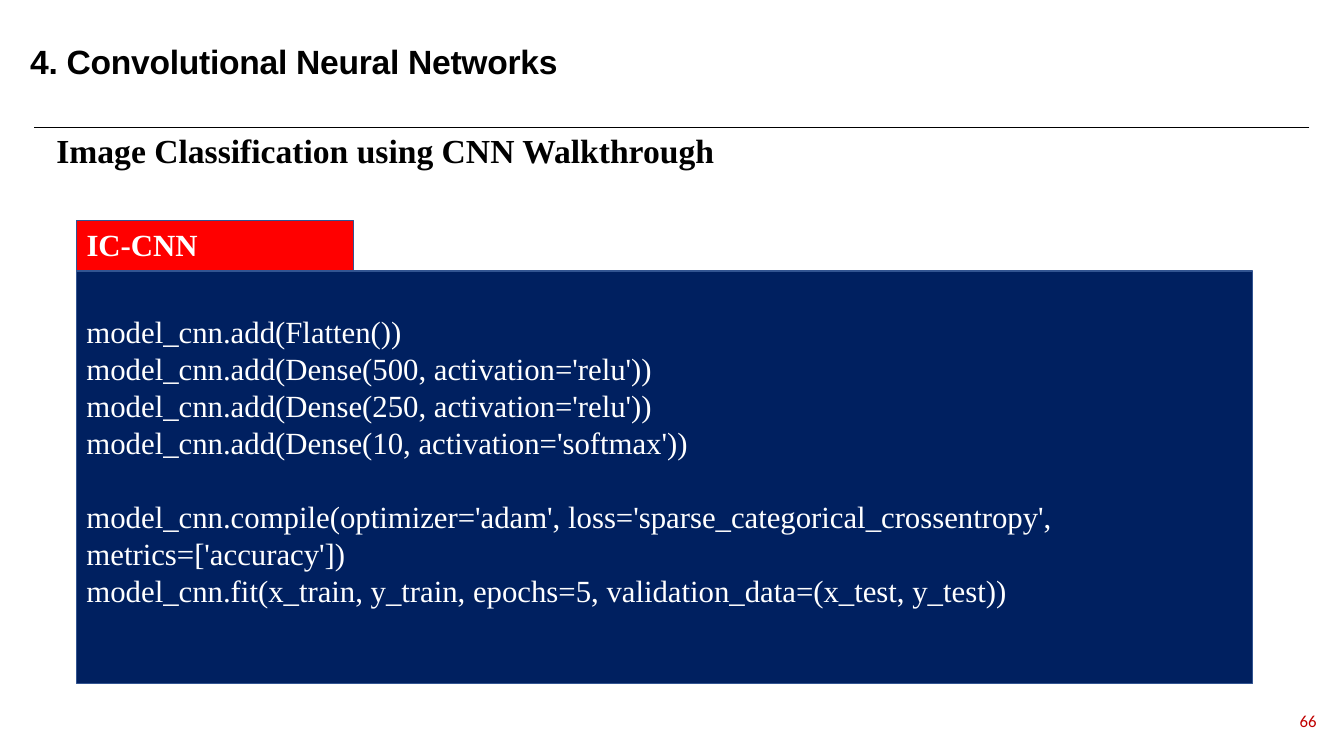
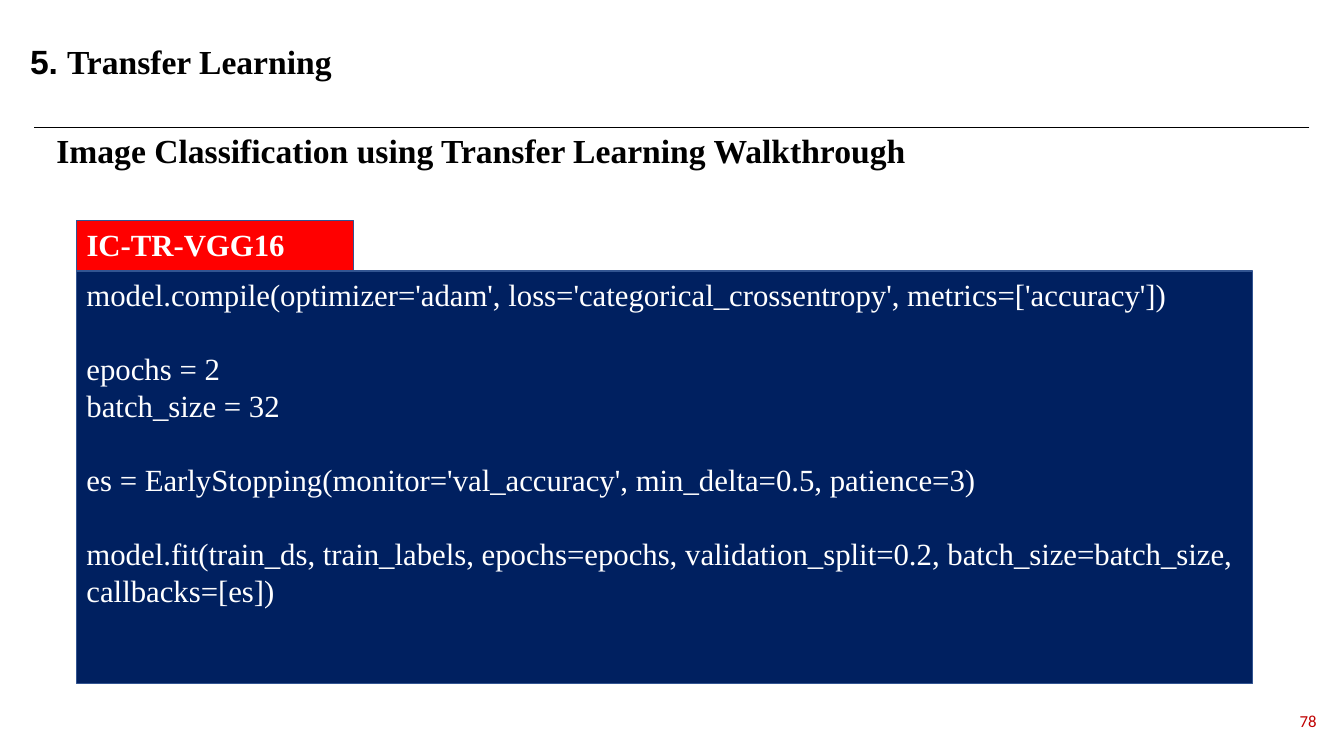
from dataclasses import dataclass

import pptx
import pptx.dml.color
import pptx.enum.shapes
import pptx.enum.text
import pptx.oxml.ns
import pptx.util
from lxml import etree

Pt = pptx.util.Pt
RGB = pptx.dml.color.RGBColor
ALIGN = pptx.enum.text.PP_ALIGN
ANCHOR = pptx.enum.text.MSO_ANCHOR


@dataclass(frozen=True)
class Theme:
    black: RGB = RGB(0x00, 0x00, 0x00)
    white: RGB = RGB(0xFF, 0xFF, 0xFF)
    navy: RGB = RGB(0x00, 0x20, 0x60)
    red: RGB = RGB(0xFF, 0x00, 0x00)
    outline: RGB = RGB(0x32, 0x54, 0x91)
    number: RGB = RGB(0xC0, 0x00, 0x00)
    sans: str = "Arial"
    serif: str = "Times New Roman"
    footer: str = "Calibri"
    heading_size: float = 24
    code_size: float = 22
    number_size: float = 12
    code_gap: float = 26.4
    inset_x: float = 7.2
    inset_y: float = 3.6


@dataclass(frozen=True)
class Box:
    left: float
    top: float
    width: float
    height: float

    def lengths(self) -> tuple:
        return Pt(self.left), Pt(self.top), Pt(self.width), Pt(self.height)


@dataclass(frozen=True)
class TitlePart:
    text: str
    font: str
    spacing: float = 0


@dataclass(frozen=True)
class CodeSlide:
    number: int
    title: tuple[TitlePart, ...]
    subtitle: str
    tag: str
    code: tuple[tuple[str, ...], ...]
    top_gap: float = 0


THEME = Theme()
TITLE = Box(13.7, 25.9, 600, 36)
SUBTITLE = Box(5, 89.3, 931.7, 36)
NUMBER = Box(906.5, 500.4, 41, 28.8)
TAG = Box(54.7, 157.7, 198, 36)
PANEL = Box(TAG.left, TAG.top + TAG.height, 840.2, 294.5)
RULE_LEFT, RULE_RIGHT, RULE_Y = 24.5, 935.3, 90.7

SLIDES = (
    CodeSlide(
        66,
        (TitlePart("4. Convolutional Neural Networks", THEME.sans, -0.2),),
        "Image Classification using CNN Walkthrough",
        "IC-CNN",
        (
            (
                "model_cnn.add(Flatten())",
                "model_cnn.add(Dense(500, activation='relu'))",
                "model_cnn.add(Dense(250, activation='relu'))",
                "model_cnn.add(Dense(10, activation='softmax'))",
            ),
            (
                "model_cnn.compile(optimizer='adam', loss='sparse_categorical_crossentropy', metrics=['accuracy'])",
                "model_cnn.fit(x_train, y_train, epochs=5, validation_data=(x_test, y_test))",
            ),
        ),
        top_gap=THEME.code_gap,
    ),
    CodeSlide(
        78,
        (TitlePart("5. ", THEME.sans, -0.2), TitlePart("Transfer Learning", THEME.serif)),
        "Image Classification using Transfer Learning Walkthrough",
        "IC-TR-VGG16",
        (
            ("model.compile(optimizer='adam', loss='categorical_crossentropy', metrics=['accuracy'])",),
            ("epochs = 2", "batch_size = 32"),
            ("es = EarlyStopping(monitor='val_accuracy', min_delta=0.5, patience=3)",),
            (
                "model.fit(train_ds, train_labels, epochs=epochs, validation_split=0.2, "
                "batch_size=batch_size, callbacks=[es])",
            ),
        ),
    ),
)


def set_font(font, name: str | None, size: float, color: RGB, bold: bool = False) -> None:
    if name:
        font.name = name
    font.size = Pt(size)
    font.bold = bold
    font.color.rgb = color


def set_frame(tf, indent: float = 0, top_gap: float = 0, anchor=ANCHOR.TOP) -> None:
    """Wrap the text and set its insets, with extra room at the left and top."""
    tf.word_wrap = True
    tf.vertical_anchor = anchor
    tf.margin_left, tf.margin_right = Pt(THEME.inset_x + indent), Pt(THEME.inset_x)
    tf.margin_top, tf.margin_bottom = Pt(THEME.inset_y + top_gap), Pt(THEME.inset_y)


def add_title(s, parts: tuple[TitlePart, ...]) -> None:
    tf = s.shapes.add_textbox(*TITLE.lengths()).text_frame
    set_frame(tf, indent=0.7)
    p = tf.paragraphs[0]
    set_font(p.font, None, THEME.heading_size, THEME.black, bold=True)
    for part in parts:
        r = p.add_run()
        r.text = part.text
        r.font.name = part.font
        if part.spacing:
            r.font._element.set("spc", str(round(part.spacing * 100)))


def add_subtitle(s, text: str) -> None:
    tf = s.shapes.add_textbox(*SUBTITLE.lengths()).text_frame
    set_frame(tf, indent=28.1)
    p = tf.paragraphs[0]
    p.text = text
    set_font(p.font, THEME.serif, THEME.heading_size, THEME.black, bold=True)


def add_number(s, number: int) -> None:
    tf = s.shapes.add_textbox(*NUMBER.lengths()).text_frame
    set_frame(tf, anchor=ANCHOR.MIDDLE)
    p = tf.paragraphs[0]
    p.text = str(number)
    p.alignment = ALIGN.RIGHT
    set_font(p.font, THEME.footer, THEME.number_size, THEME.number)


def add_rule(s) -> None:
    line = s.shapes.add_connector(
        pptx.enum.shapes.MSO_CONNECTOR.STRAIGHT, Pt(RULE_RIGHT), Pt(RULE_Y), Pt(RULE_LEFT), Pt(RULE_Y)
    )
    line.line.color.rgb = THEME.black
    line.line.width = Pt(0.5)
    etree.SubElement(line._element.spPr, pptx.oxml.ns.qn("a:effectLst"))


def add_block(
    group, box: Box, fill: RGB, sections: tuple[tuple[str, ...], ...], bold: bool = False, top_gap: float = 0
) -> None:
    """Add a filled rectangle whose sections of lines are set apart by one line."""
    sp = group.shapes.add_shape(pptx.enum.shapes.MSO_SHAPE.RECTANGLE, *box.lengths())
    sp.shadow.inherit = False
    sp.fill.solid()
    sp.fill.fore_color.rgb = fill
    sp.line.color.rgb = THEME.outline
    sp.line.width = Pt(1)
    tf = sp.text_frame
    set_frame(tf, top_gap=top_gap)
    lines = [(text, i > 0 and j == 0) for i, section in enumerate(sections) for j, text in enumerate(section)]
    for n, (text, starts_section) in enumerate(lines):
        p = tf.add_paragraph() if n else tf.paragraphs[0]
        p.text = text
        p.alignment = ALIGN.LEFT
        if starts_section:
            p.space_before = Pt(THEME.code_gap)
        set_font(p.font, THEME.serif, THEME.code_size, THEME.white, bold)


def add_code_slide(prs, content: CodeSlide) -> None:
    s = prs.slides.add_slide(prs.slide_layouts[6])
    add_number(s, content.number)
    add_title(s, content.title)
    add_rule(s)
    add_subtitle(s, content.subtitle)
    group = s.shapes.add_group_shape()
    add_block(group, PANEL, THEME.navy, content.code, top_gap=content.top_gap)
    add_block(group, TAG, THEME.red, ((content.tag,),), bold=True)


def main() -> None:
    prs = pptx.Presentation()
    prs.slide_width, prs.slide_height = Pt(960), Pt(540)
    for content in SLIDES:
        add_code_slide(prs, content)
    prs.save("out.pptx")


if __name__ == "__main__":
    main()
